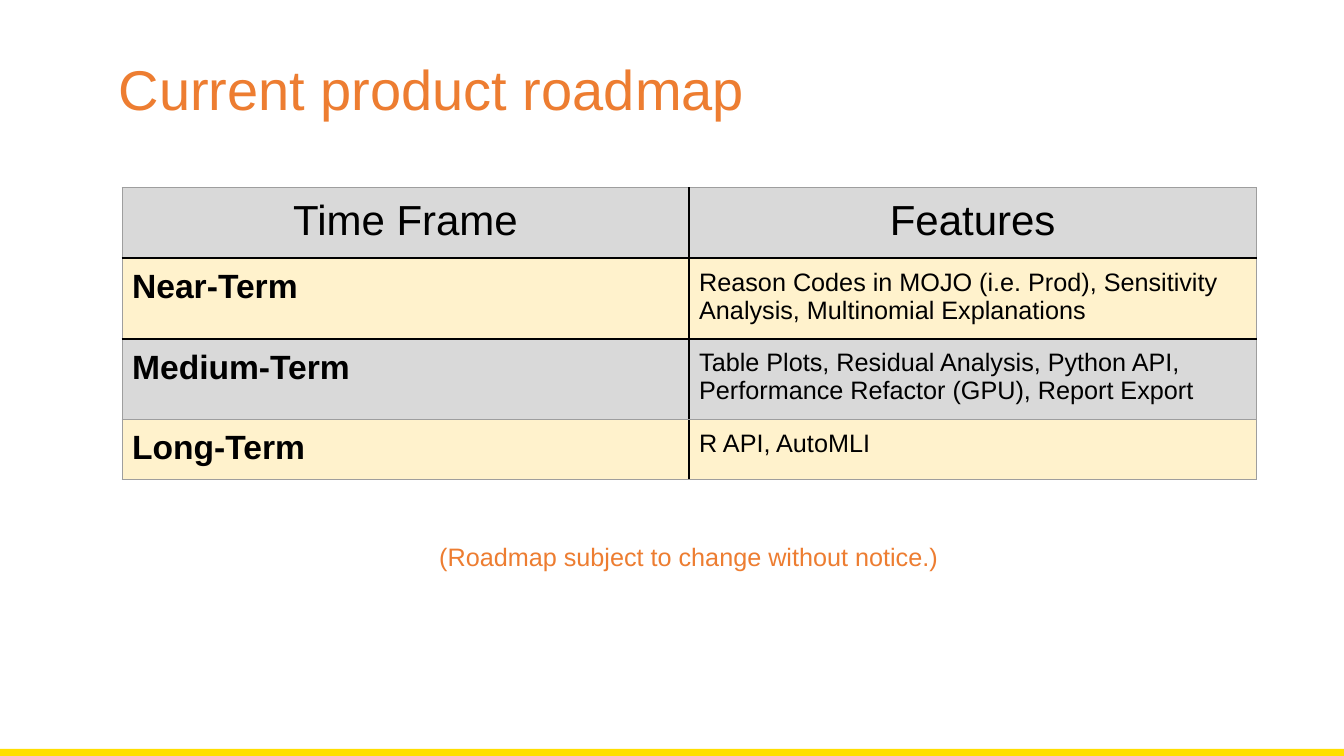
from dataclasses import dataclass

from lxml import etree
from pptx import Presentation
from pptx.dml.color import RGBColor
from pptx.enum.shapes import MSO_SHAPE as Shape
from pptx.enum.text import MSO_ANCHOR as Anchor, PP_ALIGN as Align
from pptx.oxml.ns import qn
from pptx.util import Inches, Pt


@dataclass(frozen=True)
class Theme:
    font: str = "Arial"
    accent: str = "ED7D31"
    text: str = "000000"
    bar: str = "FFDF00"
    gray: str = "D9D9D9"
    cream: str = "FFF2CC"
    thin_line: tuple = ("9E9E9E", 0.75)
    strong_line: tuple = ("000000", 1.5)
    title_size: int = 40
    header_size: int = 30
    term_size: int = 24
    body_size: int = 18


THEME = Theme()
SLIDE_WIDTH, SLIDE_HEIGHT = 13.33, 7.5
HEADERS = ("Time Frame", "Features")
ROADMAP = (
    ("Near-Term", "Reason Codes in MOJO (i.e. Prod), Sensitivity Analysis, Multinomial Explanations"),
    ("Medium-Term", "Table Plots, Residual Analysis, Python API, Performance Refactor (GPU), Report Export"),
    ("Long-Term", "R API, AutoMLI"),
)
ROW_HEIGHTS = (0.67, 0.76, 0.76, 0.57)
STRONG_ROW_EDGES = (1, 2)


def write_text(text_frame, text, size, color, align=Align.LEFT, bold=False):
    text_frame.text = text
    paragraph = text_frame.paragraphs[0]
    paragraph.alignment = align
    font = paragraph.runs[0].font
    font.name, font.size, font.bold = THEME.font, Pt(size), bold
    font.color.rgb = RGBColor.from_string(color)


def add_heading(slide, box, text, size, align):
    text_frame = slide.shapes.add_textbox(*map(Inches, box)).text_frame
    text_frame.word_wrap = True
    text_frame.vertical_anchor = Anchor.TOP
    write_text(text_frame, text, size, THEME.accent, align)
    text_frame.paragraphs[0].line_spacing = 0.9


def add_bottom_bar(slide, box):
    bar = slide.shapes.add_shape(Shape.RECTANGLE, *map(Inches, box))
    bar.shadow.inherit = False
    bar.fill.solid()
    bar.fill.fore_color.rgb = RGBColor.from_string(THEME.bar)
    bar.line.fill.background()


def set_borders(cell, lines):
    properties = cell._tc.get_or_add_tcPr()
    for index, (side, (color, width)) in enumerate(lines.items()):
        line = etree.Element(qn(f"a:ln{side}"), w=str(Pt(width)))
        fill = etree.SubElement(line, qn("a:solidFill"))
        etree.SubElement(fill, qn("a:srgbClr"), val=color)
        properties.insert(index, line)


def add_roadmap_table(slide, box):
    rows = (HEADERS, *ROADMAP)
    frame = slide.shapes.add_table(len(rows), len(HEADERS), *map(Inches, box))
    table = frame.table
    for row, height in zip(table.rows, ROW_HEIGHTS):
        row.height = Inches(height)
    for column in table.columns:
        column.width = Inches(box[2] / len(HEADERS))

    for row, texts in enumerate(rows):
        for column, text in enumerate(texts):
            cell = table.cell(row, column)
            cell.margin_left = cell.margin_right = Inches(0.1)
            cell.margin_top = cell.margin_bottom = Inches(0.1)
            cell.fill.solid()
            fill = THEME.cream if row % 2 else THEME.gray
            cell.fill.fore_color.rgb = RGBColor.from_string(fill)
            if row == 0:
                write_text(cell.text_frame, text, THEME.header_size, THEME.text, Align.CENTER)
            elif column == 0:
                write_text(cell.text_frame, text, THEME.term_size, THEME.text, bold=True)
            else:
                write_text(cell.text_frame, text, THEME.body_size, THEME.text)
            set_borders(cell, {
                "L": THEME.strong_line if column == 1 else THEME.thin_line,
                "R": THEME.strong_line if column == 0 else THEME.thin_line,
                "T": THEME.strong_line if row in STRONG_ROW_EDGES else THEME.thin_line,
                "B": THEME.strong_line if row + 1 in STRONG_ROW_EDGES else THEME.thin_line,
            })


def main():
    presentation = Presentation()
    presentation.slide_width = Inches(SLIDE_WIDTH)
    presentation.slide_height = Inches(SLIDE_HEIGHT)
    slide = presentation.slides.add_slide(presentation.slide_layouts[6])
    add_bottom_bar(slide, (0, 7.43, SLIDE_WIDTH, 0.07))
    add_heading(slide, (1.08, 0.57, 11.5, 1.45), "Current product roadmap",
                THEME.title_size, Align.LEFT)
    add_roadmap_table(slide, (1.21, 1.86, 11.25, sum(ROW_HEIGHTS)))
    add_heading(slide, (1.08, 5.35, 11.5, 0.92), "(Roadmap subject to change without notice.)",
                THEME.body_size, Align.CENTER)
    presentation.save("out.pptx")


if __name__ == "__main__":
    main()
